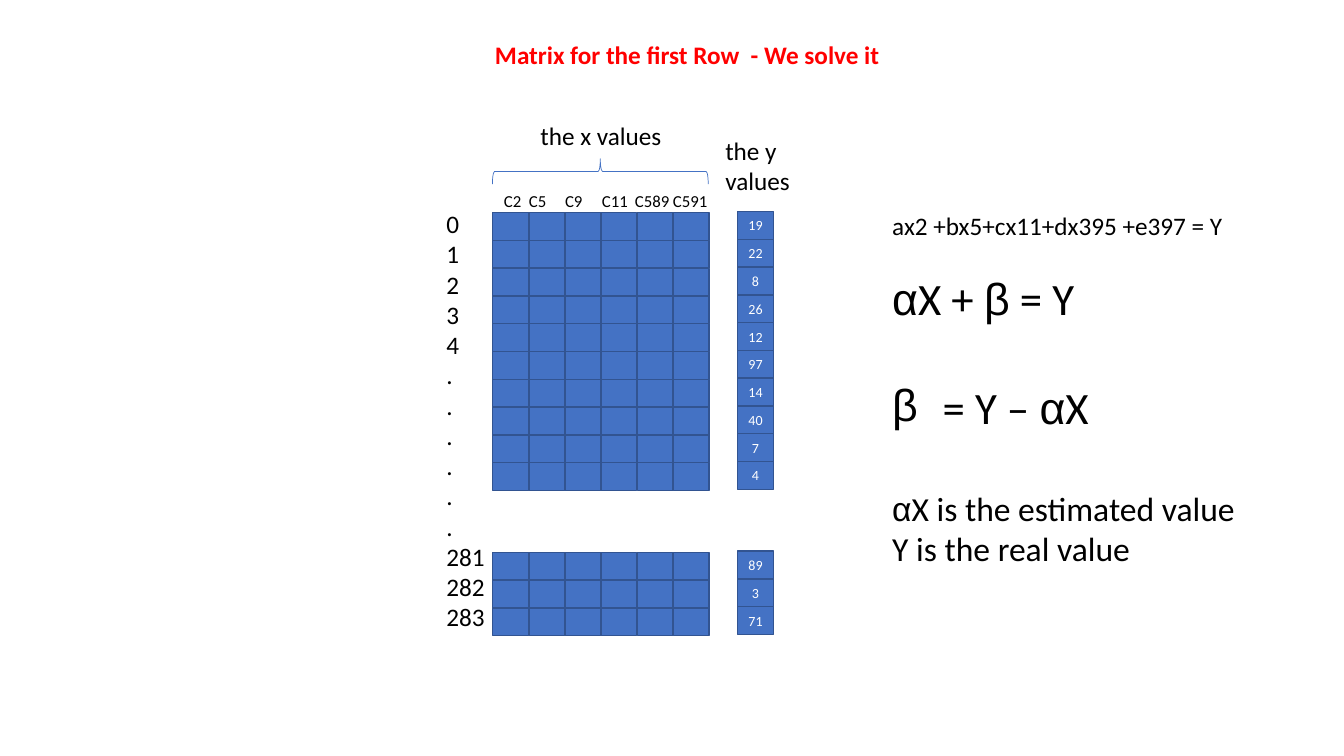
from lxml import etree
from pptx import Presentation
from pptx.dml.color import RGBColor
from pptx.enum.shapes import MSO_SHAPE as Shape
from pptx.enum.text import MSO_ANCHOR as Anchor, MSO_AUTO_SIZE as AutoSize, PP_ALIGN as Align
from pptx.oxml.ns import qn
from pptx.util import Cm, Pt

COLORS = {
    "text": "000000",
    "title": "FF0000",
    "cell": "4472C4",
    "border": "325491",
    "value": "FFFFFF",
}
LATIN, GREEK = "Calibri", "Arial"

CELL_WIDTH, CELL_HEIGHT = 0.9, 0.7
COLUMN_PITCH, ROW_PITCH = 0.91, 0.7
X_LEFT, Y_LEFT = 12.42, 18.59
X_COLUMNS = 6
Y_RAISE = 0.03
# Top of each block of rows, with the y values that belong to it
BLOCKS = [
    (5.36, [19, 22, 8, 26, 12, 97, 14, 40, 7, 4]),
    (13.92, [89, 3, 71]),
]
COLUMN_LABELS = ["C2", "C5", "C9", "C11", "C589", "C591"]
LABEL_STOPS = [0.63, 1.54, 2.47, 3.3, 4.26]
ROW_LABELS = ["0", "1", "2", "3", "4"] + ["."] * 6 + ["281", "282", "283"]

# Each line: space before, size, bullet, runs
EQUATIONS = [
    (0, 18, None, [("ax2 +bx5+cx11+dx395 +e397 = Y", LATIN)]),
    (22, 32, None, [("α", GREEK), ("X + ", LATIN), ("β", GREEK), (" = Y", LATIN)]),
    (39, 32, "β", [("= Y – ", LATIN), ("α", GREEK), ("X", LATIN)]),
    (39, 24, None, [("α", GREEK), ("X is the estimated value", LATIN)]),
    (0, 24, None, [("Y is the real value", LATIN)]),
]


def rgb(color):
    return RGBColor.from_string(COLORS[color])


def add_run(paragraph, text, size, color="text", font=LATIN, bold=False):
    run = paragraph.add_run()
    run.text = text
    run.font.name = font
    run.font.size = Pt(size)
    run.font.bold = bold
    run.font.color.rgb = rgb(color)


def place(shape, left, top, width, height):
    shape.left, shape.top = Cm(left), Cm(top)
    shape.width, shape.height = Cm(width), Cm(height)


def add_label(slide, lines, size, left, top, width, height):
    label = slide.shapes.add_textbox(Cm(left), Cm(top), Cm(width), Cm(height))
    frame = label.text_frame
    frame.word_wrap = True
    for index, line in enumerate(lines):
        paragraph = frame.add_paragraph() if index else frame.paragraphs[0]
        add_run(paragraph, line, size)
    return frame


def set_tab_stops(paragraph, stops):
    tabs = etree.SubElement(paragraph._p.get_or_add_pPr(), qn("a:tabLst"))
    for stop in stops:
        etree.SubElement(tabs, qn("a:tab"), pos=str(Cm(stop)), algn="l")


def set_bullet(paragraph, bullet):
    """Use the given bullet with a hanging indent, or none at all."""
    props = paragraph._p.get_or_add_pPr()
    indent = Cm(1.27) if bullet else 0
    props.set("marL", str(indent))
    props.set("indent", str(-indent))
    if bullet:
        etree.SubElement(props, qn("a:buFont"), typeface=GREEK)
        etree.SubElement(props, qn("a:buChar"), char=bullet)
    else:
        etree.SubElement(props, qn("a:buNone"))


def add_cell(slide, left, top, value=None):
    cell = slide.shapes.add_shape(
        Shape.RECTANGLE, Cm(left), Cm(top), Cm(CELL_WIDTH), Cm(CELL_HEIGHT))
    cell.shadow.inherit = False
    cell.fill.solid()
    cell.fill.fore_color.rgb = rgb("cell")
    cell.line.color.rgb = rgb("border")
    cell.line.width = Pt(1)
    if value is not None:
        frame = cell.text_frame
        frame.margin_left = frame.margin_right = 0
        frame.margin_top = frame.margin_bottom = 0
        frame.vertical_anchor = Anchor.MIDDLE
        frame.paragraphs[0].alignment = Align.CENTER
        add_run(frame.paragraphs[0], str(value), 10, "value")


def add_matrix(slide):
    for block_top, values in BLOCKS:
        for row, value in enumerate(values):
            top = block_top + row * ROW_PITCH
            for column in range(X_COLUMNS):
                add_cell(slide, X_LEFT + column * COLUMN_PITCH, top)
            add_cell(slide, Y_LEFT, top - Y_RAISE, value)


def add_brace(slide):
    brace = slide.shapes.add_shape(
        Shape.RIGHT_BRACE, Cm(14.81), Cm(1.6), Cm(0.64), Cm(5.44))
    brace.rotation = 270
    brace.shadow.inherit = False
    brace.fill.background()
    brace.line.color.rgb = rgb("cell")
    brace.line.width = Pt(0.5)


def fill_title(title):
    place(title, 12.22, 0.86, 10.4, 1.02)
    frame = title.text_frame
    frame.auto_size = AutoSize.NONE
    frame.vertical_anchor = Anchor.TOP
    frame.paragraphs[0].alignment = Align.LEFT
    add_run(frame.paragraphs[0], "Matrix for the first Row  - We solve it", 18, "title", bold=True)


def fill_equations(body):
    place(body, 22.23, 5.16, 9.6, 9.32)
    frame = body.text_frame
    frame.auto_size = AutoSize.NONE
    for index, (space, size, bullet, runs) in enumerate(EQUATIONS):
        paragraph = frame.add_paragraph() if index else frame.paragraphs[0]
        paragraph.space_before = Pt(space)
        set_bullet(paragraph, bullet)
        for text, font in runs:
            add_run(paragraph, text, size, font=font)


def main():
    deck = Presentation()
    deck.slide_width, deck.slide_height = Cm(33.87), Cm(19.05)
    slide = deck.slides.add_slide(deck.slide_layouts[1])

    fill_title(slide.shapes.title)
    fill_equations(slide.placeholders[1])

    header = add_label(slide, ["\t".join(COLUMN_LABELS)], 12, 12.45, 4.67, 6.15, 0.77)
    set_tab_stops(header.paragraphs[0], LABEL_STOPS)
    add_brace(slide)
    add_label(slide, ["the x values"], 18, 13.37, 2.9, 3.7, 1.02)
    add_label(slide, ["the y values"], 18, 18.03, 3.28, 2.29, 1.8)
    add_label(slide, ROW_LABELS, 18, 11, 5.13, 2.82, 11.02)
    add_matrix(slide)

    deck.save("out.pptx")


if __name__ == "__main__":
    main()
